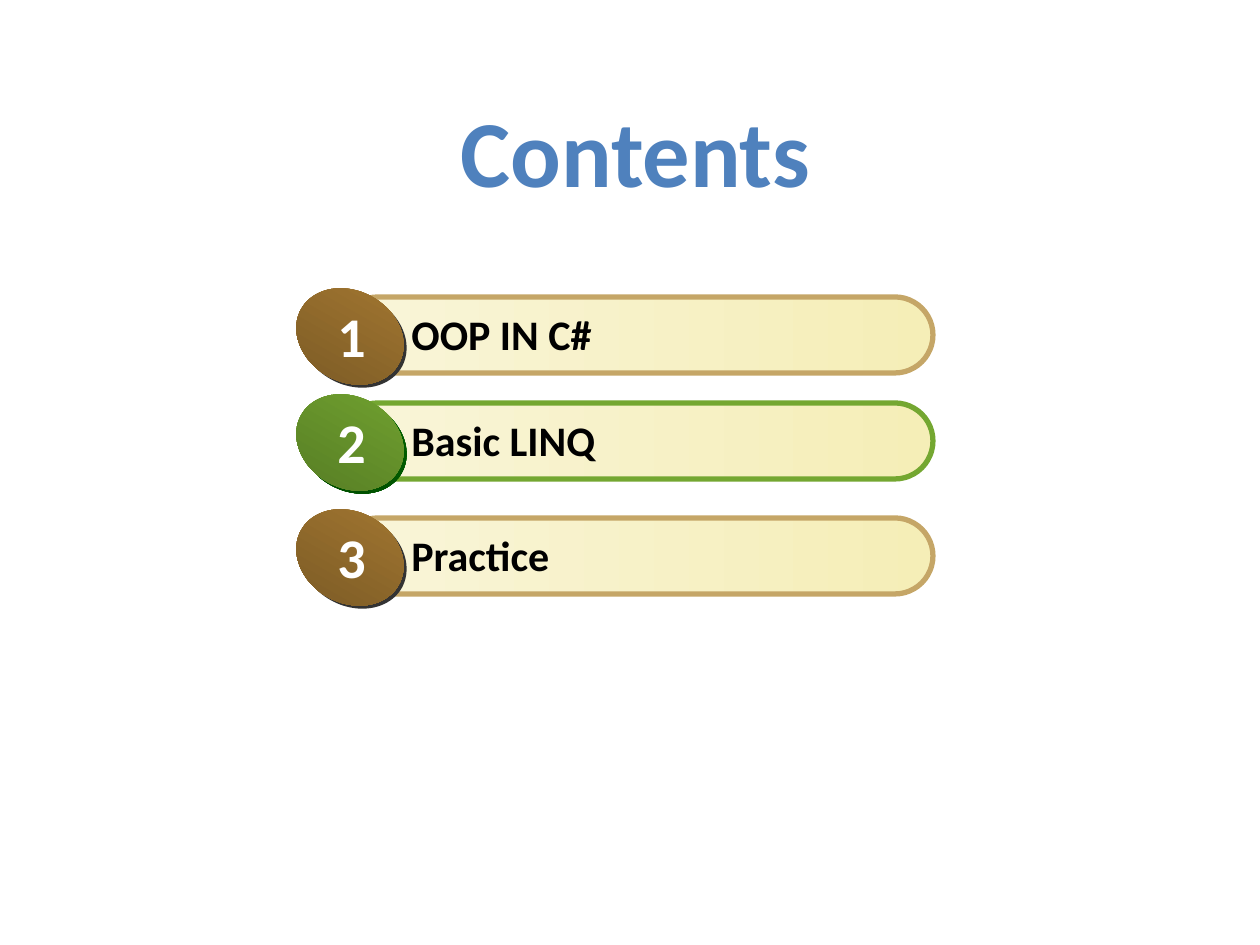
from pptx import Presentation
from pptx import util as u
from pptx.dml.color import RGBColor
from pptx.enum import shapes, text

PX = u.Inches(1) / 126

BLUE = RGBColor(0x4F, 0x81, 0xBD)
BLACK = RGBColor(0x00, 0x00, 0x00)
WHITE = RGBColor(0xFF, 0xFF, 0xFF)
CREAM = RGBColor(0xF9, 0xF5, 0xD9)
STRAW = RGBColor(0xF5, 0xEE, 0xB7)
TAN = RGBColor(0xC5, 0xA6, 0x67)
BROWN = RGBColor(0xA6, 0x7A, 0x32)
DARK_BROWN = RGBColor(0x77, 0x57, 0x24)
CHARCOAL = RGBColor(0x33, 0x33, 0x33)
GREEN = RGBColor(0x74, 0xA7, 0x31)
DARK_GREEN = RGBColor(0x53, 0x77, 0x23)
FOREST = RGBColor(0x00, 0x66, 0x00)
DEEP_FOREST = RGBColor(0x00, 0x49, 0x00)


def add_text(parent, words, box, *, size, color, wrap=True,
             align=text.PP_ALIGN.LEFT, anchor=text.MSO_ANCHOR.TOP,
             auto_size=text.MSO_AUTO_SIZE.SHAPE_TO_FIT_TEXT):
    frame = parent.add_textbox(*(round(n * PX) for n in box)).text_frame
    frame.word_wrap = wrap
    frame.auto_size = auto_size
    frame.vertical_anchor = anchor
    paragraph = frame.paragraphs[0]
    paragraph.alignment = align
    run = paragraph.add_run()
    run.text = words
    run.font.name = "Calibri"
    run.font.size = u.Pt(size)
    run.font.bold = True
    run.font.color.rgb = color


def add_filled(parent, kind, box, colors, angle=270):
    """Add a borderless shape with a solid fill (one color) or a gradient (two)."""
    shape = parent.add_shape(kind, *(round(n * PX) for n in box))
    shape.shadow.inherit = False
    shape.line.fill.background()
    if len(colors) == 1:
        shape.fill.solid()
        shape.fill.fore_color.rgb = colors[0]
    else:
        shape.fill.gradient()
        shape.fill.gradient_angle = angle
        for stop, color in zip(shape.fill.gradient_stops, colors):
            stop.color.rgb = color
    return shape


presentation = Presentation()
presentation.slide_width = u.Inches(10)
presentation.slide_height = u.Inches(7.5)
slide = presentation.slides.add_slide(presentation.slide_layouts[6])

add_text(slide.shapes, "Contents", (373, 84, 525, 132), size=54, color=BLUE,
         align=text.PP_ALIGN.CENTER, anchor=text.MSO_ANCHOR.MIDDLE,
         auto_size=text.MSO_AUTO_SIZE.NONE)

brown_style = (TAN, (CHARCOAL,), (BROWN, DARK_BROWN))
green_style = (GREEN, (FOREST, DEEP_FOREST), (GREEN, DARK_GREEN))
entries = [
    ("OOP IN C#", 297, brown_style),
    ("Basic LINQ", 403, green_style),
    ("Practice", 518, brown_style),
]

for number, (topic, top, (border, rim_colors, disc_colors)) in enumerate(entries, 1):
    group = slide.shapes.add_group_shape().shapes
    bar = add_filled(group, shapes.MSO_SHAPE.ROUNDED_RECTANGLE,
                     (340, top, 593, 76), (CREAM, STRAW), angle=0)
    bar.adjustments[0] = 0.5
    bar.line.color.rgb = border
    bar.line.width = u.Pt(3)
    add_text(group, topic, (399, top + 5, 472, 63), size=24, color=BLACK)
    for left, rise, colors in ((297, 3, rim_colors), (294, 6, disc_colors)):
        oval = add_filled(group, shapes.MSO_SHAPE.OVAL,
                          (left, top - rise, 112, 91), colors)
        oval.rotation = 29.3
    add_text(group, str(number), (325, top - 2, 57, 79), size=32, color=WHITE,
             wrap=False)

presentation.save("out.pptx")
